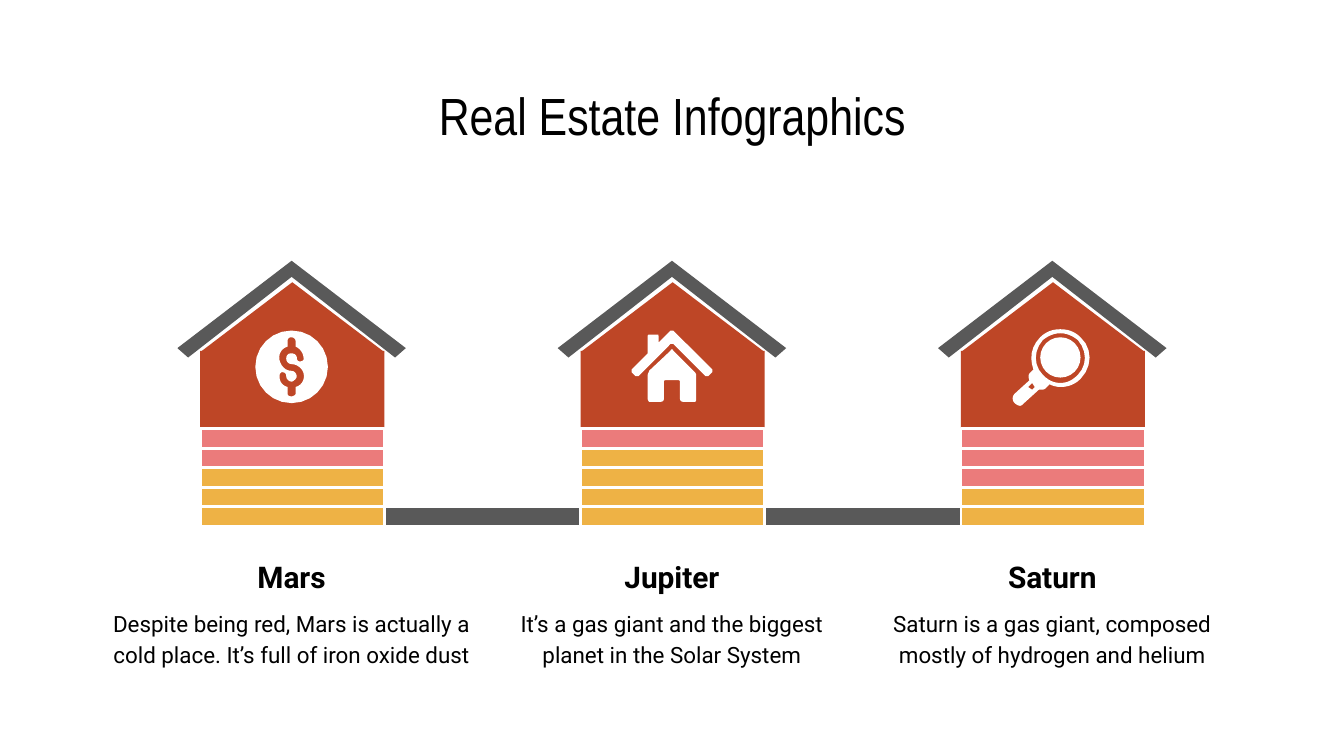
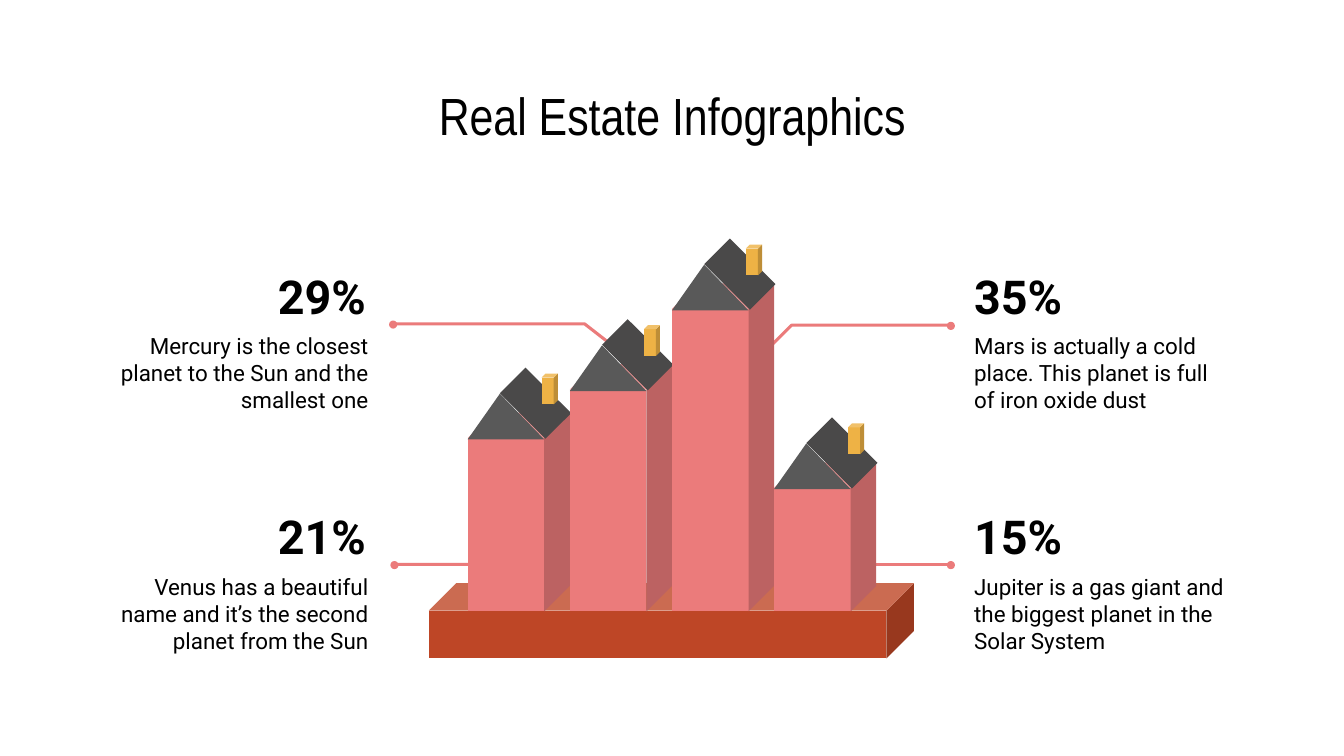
"""Builds two real estate infographic slides: three houses and a row of towers."""
from dataclasses import dataclass

from lxml.etree import SubElement
from pptx import Presentation
from pptx.dml.color import RGBColor
from pptx.enum.shapes import MSO_CONNECTOR, MSO_SHAPE
from pptx.enum.text import MSO_ANCHOR, PP_ALIGN
from pptx.oxml.ns import qn
from pptx.util import Emu, Pt


@dataclass(frozen=True)
class Theme:
    ink: str = "000000"
    white: str = "FFFFFF"
    slate: str = "595959"
    roof_side: str = "4A4949"
    brick: str = "BE4626"
    amber: str = "EEB245"
    pink: str = "EB7B7B"
    title_font: str = "Arial Narrow"
    body_font: str = "Roboto"
    title_size: float = 28
    figure_size: float = 25
    heading_size: float = 16
    body_size: float = 12
    band_line: float = 1.5
    leader_line: float = 1.64
    dot_line: float = 0.75


THEME = Theme()
EMU_PER_PX = 9144
SLIDE_WIDTH = 1000
CURVE_STEPS = 6
TITLE = "Real Estate Infographics"

COIN = """
M217,251 C218,251 220,252 220,254 L220,258 C223,259 226,263 226,267
C226,268 225,269 223,269 C222,269 221,268 221,267 C221,264 219,263 217,263
C216,263 215,263 214,264 C212,266 213,271 217,271 C221,271 225,274 226,278
C227,283 224,287 220,288 L220,293 C220,294 218,295 217,295
C215,295 214,294 214,293 L214,288 C210,287 208,284 208,280
C208,278 209,277 210,277 C212,277 213,278 213,280 C213,282 215,284 217,284
C218,284 219,283 220,282 C222,280 220,276 217,276 C212,276 209,272 208,268
C207,263 210,259 214,258 L214,254 C214,252 215,251 217,251
M217,246 C202,246 190,258 190,273 C190,288 202,300 217,300
C232,300 244,288 244,273 C244,258 232,246 217,246
"""
HOME = """
M517,299 C518,299 518,298 518,297 L518,279 C518,279 518,278 517,277 L501,261
C501,260 500,260 500,260 C500,260 499,260 499,261 L483,276
C483,277 482,278 482,279 L482,297 C482,298 483,299 483,299 L492,299
C493,299 494,298 494,297 L494,285 C494,284 494,283 495,283 L505,283
C506,283 506,284 506,285 L506,297 C506,298 507,299 508,299
M526,280 C526,280 526,280 527,280 L530,277 C530,276 530,275 530,275 L501,246
C501,246 500,246 500,246 C500,246 499,246 499,246 L490,255 L490,250
C490,249 490,249 489,249 L483,249 C483,249 482,249 482,250 L482,263 L470,275
C470,275 470,276 470,277 L473,280 C474,280 474,280 474,280
C475,280 475,280 475,280 L499,256 C499,256 500,256 500,256
C500,256 501,256 501,256 L525,280 C525,280 525,280 526,280
"""
MAGNIFIER = """
M789,248 C794,248 798,250 802,253 C809,261 809,272 802,279
C798,283 794,285 789,285 C784,285 780,283 776,279 C769,272 769,261 776,253
C780,250 784,248 789,248
M768,285 L770,288 L768,290 L765,288 L768,285
M789,245 C783,245 778,247 774,251 C767,258 766,267 769,275 L767,277
C765,278 765,281 766,283 L755,293 C753,295 753,298 755,300
C756,301 758,302 759,302 C760,302 761,301 762,300 L773,290
C773,290 774,290 775,290 C776,290 777,290 778,289 L781,286
C783,287 786,288 789,288 C795,288 800,286 804,282 C813,273 813,259 804,251
C800,247 795,245 789,245
"""

HOUSES = [
    (217, 2, "Mars", "Despite being red, Mars is actually a cold place. "
     "It’s full of iron oxide dust", COIN),
    (500, 1, "Jupiter", "It’s a gas giant and the biggest planet in the Solar System",
     HOME),
    (783, 3, "Saturn", "Saturn is a gas giant, composed mostly of hydrogen and helium",
     MAGNIFIER),
]
CALLOUTS = [
    ("29%", "Mercury is the closest planet to the Sun and the smallest one",
     192, True, [(292, 241), (435, 241), (462, 262)]),
    ("35%", "Mars is actually a cold place. This planet is full of iron oxide dust",
     192, False, [(707, 242), (589, 242), (569, 262)]),
    ("21%", "Venus has a beautiful name and it’s the second planet from the Sun",
     371, True, [(293, 420), (395, 420), (434, 329)]),
    ("15%", "Jupiter is a gas giant and the biggest planet in the Solar System",
     371, False, [(707, 420), (626, 420)]),
]
TOWER_TOPS = [307, 271, 211, 344]
TOWER_FOOT = 455


def px(length):
    """Turn px into EMU."""
    return Emu(round(length * EMU_PER_PX))


def rgb(colour):
    """Turn a hex string into a colour."""
    return RGBColor.from_string(colour)


def paint(shape, fill=None, line=None, width=0):
    """Set fill and line, and drop the shadow."""
    shape.shadow.inherit = False
    if fill:
        shape.fill.solid()
        shape.fill.fore_color.rgb = rgb(fill)
    else:
        shape.fill.background()
    if line:
        shape.line.color.rgb = rgb(line)
        shape.line.width = Pt(width)
    else:
        shape.line.fill.background()


def add_preset(slide, kind, box, fill, line=None, width=0, adjust=None, turn=0):
    """Draw a preset shape in a px box."""
    shape = slide.shapes.add_shape(kind, *map(px, box))
    paint(shape, fill, line, width)
    if adjust is not None:
        shape.adjustments[0] = adjust
    shape.rotation = turn


def add_outline(slide, contours, fill=None, line=None, width=0, close=True):
    """Draw one freeform from lists of px points."""
    scaled = [[(px(x), px(y)) for x, y in contour] for contour in contours]
    builder = slide.shapes.build_freeform(*scaled[0][0], scale=1.0)
    for index, contour in enumerate(scaled):
        if index:
            builder.move_to(*contour[0])
        builder.add_line_segments(contour[1:], close=close)
    paint(builder.convert_to_shape(), fill, line, width)


def curve_points(start, first, second, end):
    """Sample a cubic curve after its start point."""
    points = []
    for step in range(1, CURVE_STEPS + 1):
        t = step / CURVE_STEPS
        weights = ((1 - t) ** 3, 3 * t * (1 - t) ** 2, 3 * t * t * (1 - t), t ** 3)
        anchors = (start, first, second, end)
        points.append(tuple(sum(w * a[axis] for w, a in zip(weights, anchors))
                            for axis in (0, 1)))
    return points


def trace(path_text):
    """Turn M, L and C commands into contours."""
    contours, controls = [], []
    for token in path_text.split():
        command = token[0] if token[0].isalpha() else ""
        x, y = token.lstrip("MLC").split(",")
        point = (int(x), int(y))
        if command == "M":
            contours.append([point])
        elif command == "L":
            contours[-1].append(point)
        else:
            controls.append(point)
            if len(controls) == 3:
                contours[-1] += curve_points(contours[-1][-1], *controls)
                controls = []
    return contours


def add_text(slide, box, wording, size, align, font=THEME.body_font, bold=False,
             anchor=MSO_ANCHOR.MIDDLE, spacing=None):
    """Place one paragraph in a px box."""
    frame = slide.shapes.add_textbox(*map(px, box)).text_frame
    frame.word_wrap = True
    frame.vertical_anchor = anchor
    frame.margin_left = frame.margin_right = px(10)
    frame.margin_top = frame.margin_bottom = px(10)
    paragraph = frame.paragraphs[0]
    paragraph.text = wording
    paragraph.alignment = align
    if spacing:
        paragraph.line_spacing = spacing
        paragraph.space_after = Pt(16)
    paragraph.font.name = font
    paragraph.font.size = Pt(size)
    paragraph.font.bold = bold
    paragraph.font.color.rgb = rgb(THEME.ink)


def add_titled_slide(deck):
    """Add a blank slide with the shared title."""
    slide = deck.slides.add_slide(deck.slide_layouts[6])
    add_text(slide, (312, 59, 376, 53), TITLE, THEME.title_size, PP_ALIGN.CENTER,
             font=THEME.title_font)
    return slide


def add_house(slide, centre, pink_floors, planet, fact, icon):
    """Draw a house on striped floors with its icon and caption."""
    roof = [(0, 194), (-85, 259), (-77, 266), (0, 206), (77, 266), (85, 259)]
    add_outline(slide, [[(centre + x, y) for x, y in roof]], THEME.slate)
    wall = centre - 68
    add_preset(slide, MSO_SHAPE.ISOSCELES_TRIANGLE, (wall, 210, 137, 52), THEME.brick)
    add_preset(slide, MSO_SHAPE.RECTANGLE, (wall, 261, 137, 58), THEME.brick)
    add_outline(slide, trace(icon), THEME.white)
    for floor in range(5):
        colour = THEME.pink if floor < pink_floors else THEME.amber
        add_preset(slide, MSO_SHAPE.RECTANGLE,
                   (wall, round(319 + 14.6 * floor), 137, 15),
                   colour, THEME.white, THEME.band_line)
    add_text(slide, (centre - 98, 402, 196, 52), planet, THEME.heading_size,
             PP_ALIGN.CENTER, bold=True, anchor=MSO_ANCHOR.TOP, spacing=1.15)
    add_text(slide, (centre - 147, 441, 294, 59), fact, THEME.body_size,
             PP_ALIGN.CENTER, anchor=MSO_ANCHOR.TOP, spacing=1.15)


def add_leader(slide, points):
    """Draw a leader line with a dot at its start."""
    if len(points) == 2:
        ends = [px(value) for point in points for value in point]
        leader = slide.shapes.add_connector(MSO_CONNECTOR.STRAIGHT, *ends)
        leader.line.color.rgb = rgb(THEME.pink)
        leader.line.width = Pt(THEME.leader_line)
        SubElement(leader._element.spPr, qn("a:effectLst"))
    else:
        add_outline(slide, [points], line=THEME.pink, width=THEME.leader_line,
                    close=False)
    x, y = points[0]
    add_preset(slide, MSO_SHAPE.OVAL, (x - 2, y - 2, 5, 5), THEME.pink,
               THEME.pink, THEME.dot_line)


def add_callout(slide, share, fact, top, on_left, leader):
    """Place a percentage, its text and its leader."""
    align = PP_ALIGN.RIGHT if on_left else PP_ALIGN.LEFT
    add_leader(slide, leader)
    for wording, right, width, height, drop, size, bold in (
            (share, 282, 106, 56, 0, THEME.figure_size, True),
            (fact, 284, 212, 73, 49, THEME.body_size, False)):
        left = right - width if on_left else 715
        add_text(slide, (left, top + drop, width, height), wording, size, align,
                 bold=bold)


def add_tower(slide, left, top):
    """Draw a tower with its roof and chimney."""
    add_preset(slide, MSO_SHAPE.CUBE, (left, top, 76, TOWER_FOOT - top), THEME.pink,
               adjust=0.25)
    add_preset(slide, MSO_SHAPE.RECTANGLE, (left + 37, top - 31, 27, 48),
               THEME.roof_side, turn=315)
    add_preset(slide, MSO_SHAPE.CUBE, (left + 55, top - 29, 12, 23), THEME.amber,
               adjust=0.25)
    add_outline(slide, [[(left + 24, top - 14), (left + 57, top + 20),
                         (left, top + 20)]], THEME.slate)


def build_houses(deck):
    """Build the slide with three linked houses."""
    slide = add_titled_slide(deck)
    add_preset(slide, MSO_SHAPE.RECTANGLE, (247, 377, 489, 15), THEME.slate,
               THEME.white, THEME.band_line)
    for house in HOUSES:
        add_house(slide, *house)
    add_preset(slide, MSO_SHAPE.OVAL, (774, 251, 30, 30), THEME.white)


def build_towers(deck):
    """Build the slide with four towers and callouts."""
    slide = add_titled_slide(deck)
    add_preset(slide, MSO_SHAPE.CUBE, (319, 434, 361, 56), THEME.brick, adjust=0.365)
    for callout in CALLOUTS:
        add_callout(slide, *callout)
    for index, top in enumerate(TOWER_TOPS):
        add_tower(slide, 348 + 76 * index, top)


def main():
    """Build and save the deck."""
    deck = Presentation()
    deck.slide_width = px(SLIDE_WIDTH)
    deck.slide_height = px(SLIDE_WIDTH * 9 / 16)
    build_houses(deck)
    build_towers(deck)
    deck.save("out.pptx")


if __name__ == "__main__":
    main()
